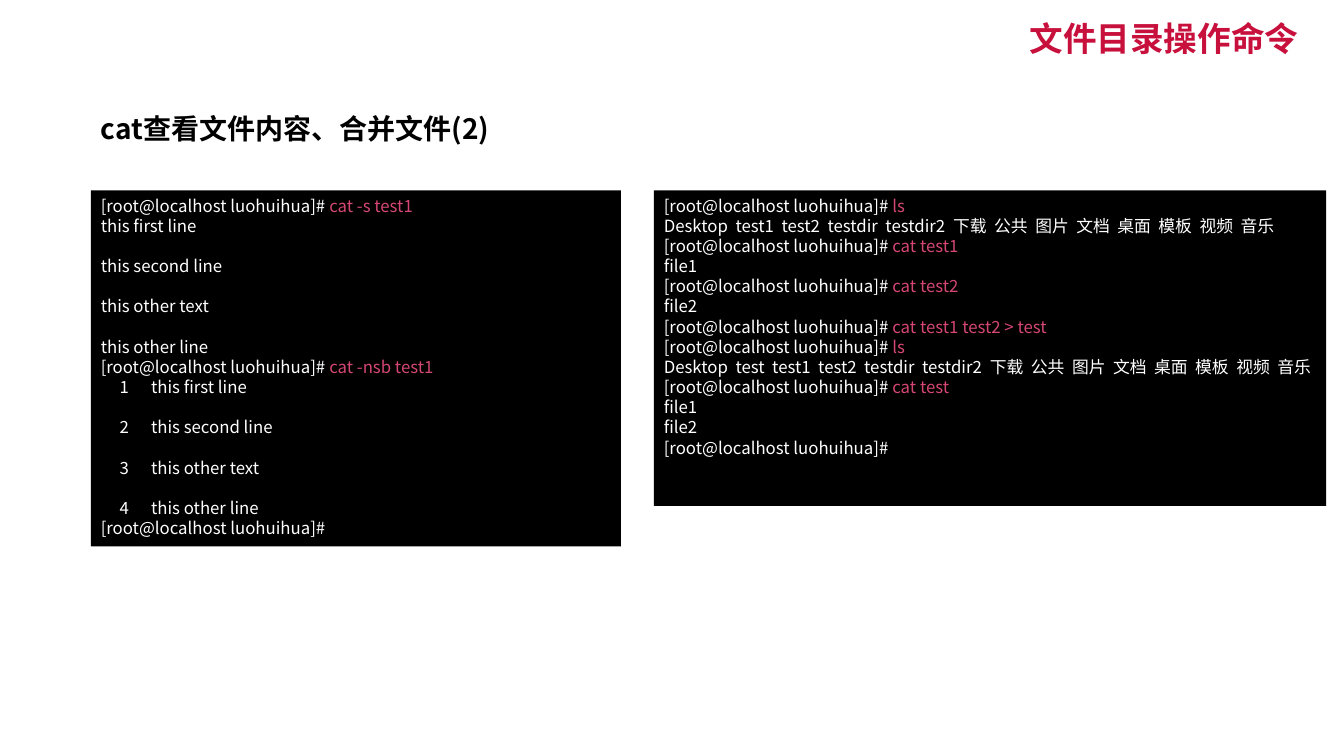
import pptx
import pptx.util
import pptx.dml.color
import pptx.enum.shapes
import pptx.enum.text
import lxml.etree
from dataclasses import dataclass
from pptx.util import Cm


@dataclass(frozen=True)
class Theme:
    font: str = "Noto Sans CJK SC"
    accent: str = "C8103D"
    heading: str = "000000"
    terminal: str = "000000"
    output: str = "FFFFFF"
    command: str = "D54773"
    title_size: float = 24
    heading_size: float = 20
    code_size: float = 12
    code_gap: float = 14.4  # one skipped line of terminal output


THEME = Theme()
PROMPT = "[root@localhost luohuihua]#"
FOLDERS = "下载  公共  图片  文档  桌面  模板  视频  音乐"
FILE_LINES = ["this first line", "this second line",
              "this other text", "this other line"]

# Each entry: (kind, text); "gap" is output after a skipped line
CAT_OPTIONS = (
    [("command", "cat -s test1"), ("output", FILE_LINES[0])]
    + [("gap", line) for line in FILE_LINES[1:]]
    + [("command", "cat -nsb test1")]
    + [("gap" if number > 1 else "output", f"     {number}\t{line}")
       for number, line in enumerate(FILE_LINES, 1)]
    + [("command", "")]
)
CAT_MERGE = [
    ("command", "ls"),
    ("output", f"Desktop  test1  test2  testdir  testdir2  {FOLDERS}"),
    ("command", "cat test1"),
    ("output", "file1"),
    ("command", "cat test2"),
    ("output", "file2"),
    ("command", "cat test1 test2 > test"),
    ("command", "ls"),
    ("output", f"Desktop  test  test1  test2  testdir  testdir2  {FOLDERS}"),
    ("command", "cat test"),
    ("output", "file1"),
    ("output", "file2"),
    ("command", ""),
]


def rgb(color):
    return pptx.dml.color.RGBColor.from_string(color)


def add_text(paragraph, text, *, size, color, bold=False, align=None,
             line_spacing=None):
    """Append formatted text to a paragraph."""
    if align is not None:
        paragraph.alignment = align
    if line_spacing is not None:
        paragraph.line_spacing = line_spacing
    run = paragraph.add_run()
    run.text = text
    font = run.font
    font.size = pptx.util.Pt(size)
    font.bold = bold
    font.color.rgb = rgb(color)
    font.name = THEME.font
    east_asian = lxml.etree.SubElement(
        font._element, pptx.oxml.ns.qn("a:ea"))
    east_asian.set("typeface", THEME.font)


def place_title(slide, box, text):
    title = slide.shapes.title
    title.left, title.top, title.width, title.height = box
    frame = title.text_frame
    frame.word_wrap = True
    frame.auto_size = pptx.enum.text.MSO_AUTO_SIZE.NONE
    frame.vertical_anchor = pptx.enum.text.MSO_ANCHOR.MIDDLE
    add_text(frame.paragraphs[0], text, size=THEME.title_size,
             color=THEME.accent, bold=True, line_spacing=0.9,
             align=pptx.enum.text.PP_ALIGN.RIGHT)


def place_heading(slide, box, text):
    frame = slide.shapes.add_textbox(*box).text_frame
    frame.word_wrap = True
    add_text(frame.paragraphs[0], text, size=THEME.heading_size,
             color=THEME.heading, bold=True, line_spacing=0.9)


def place_terminal(slide, box, session):
    terminal = slide.shapes.add_shape(
        pptx.enum.shapes.MSO_SHAPE.RECTANGLE, *box)
    terminal.shadow.inherit = False
    terminal.fill.solid()
    terminal.fill.fore_color.rgb = rgb(THEME.terminal)
    terminal.line.fill.background()
    frame = terminal.text_frame
    frame.word_wrap = True
    frame.margin_right = 0
    frame.vertical_anchor = pptx.enum.text.MSO_ANCHOR.TOP
    for index, (kind, text) in enumerate(session):
        line = frame.add_paragraph() if index else frame.paragraphs[0]
        line.alignment = pptx.enum.text.PP_ALIGN.LEFT
        if kind == "gap":
            line.space_before = pptx.util.Pt(THEME.code_gap)
        if kind == "command":
            add_text(line, PROMPT + (" " if text else ""),
                     size=THEME.code_size, color=THEME.output)
        if text:
            color = THEME.command if kind == "command" else THEME.output
            add_text(line, text, size=THEME.code_size, color=color)


def main():
    deck = pptx.Presentation()
    deck.slide_width, deck.slide_height = Cm(33.87), Cm(19.05)
    slide = deck.slides.add_slide(deck.slide_layouts[5])

    # Title and heading
    place_title(slide, (Cm(16.94), Cm(0.51), Cm(16.03), Cm(1.04)),
                "文件目录操作命令")
    left, top = Cm(2.29), Cm(4.8)
    place_heading(slide, (left, Cm(2.77), Cm(10.41), Cm(1.02)),
                  "cat查看文件内容、合并文件(2)")

    # Terminal sessions
    place_terminal(slide, (left, top, Cm(13.36), Cm(8.97)), CAT_OPTIONS)
    place_terminal(slide, (Cm(16.48), top, Cm(16.94), Cm(7.95)), CAT_MERGE)

    deck.save("out.pptx")


if __name__ == "__main__":
    main()
